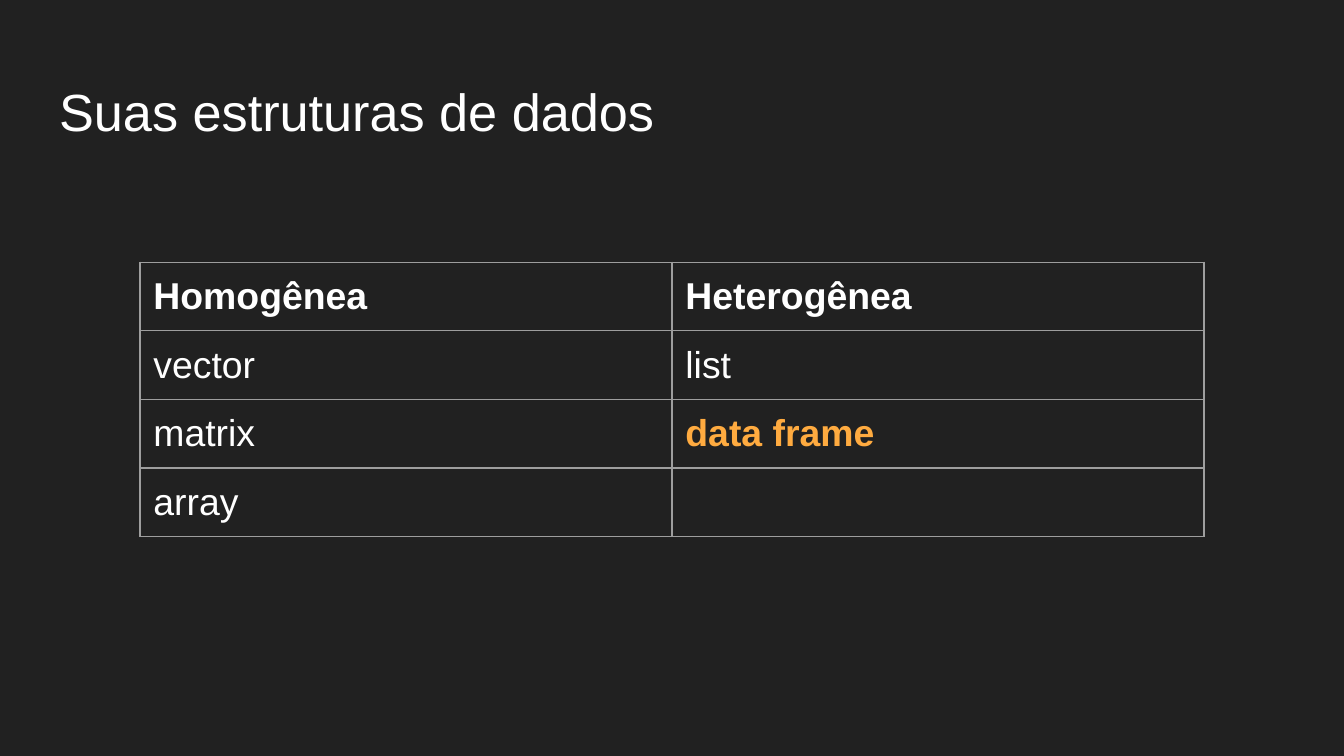
from typing import NamedTuple

from lxml.etree import SubElement
from pptx import Presentation
from pptx.dml.color import RGBColor
from pptx.enum.text import MSO_ANCHOR as Anchor, PP_ALIGN as Align
from pptx.oxml.ns import qn
from pptx.util import Pt

COLORS = {
    "background": "212121",
    "text": "FFFFFF",
    "highlight": "FFAB40",
    "border": "9E9E9E",
}
FONT = "Arial"
INSET = Pt(7.2)
COLUMN_WIDTH = Pt(285)
ROW_HEIGHT = Pt(36.7)


class Entry(NamedTuple):
    text: str
    color: str = "text"
    bold: bool = False


STRUCTURES = [
    [Entry("Homogênea", bold=True), Entry("Heterogênea", bold=True)],
    [Entry("vector"), Entry("list")],
    [Entry("matrix"), Entry("data frame", "highlight", True)],
    [Entry("array"), Entry("")],
]


def rgb(name: str) -> RGBColor:
    return RGBColor.from_string(COLORS[name])


def set_font(paragraph, size: float, color: str, bold: bool = False) -> None:
    font = paragraph.font
    font.name, font.size, font.bold = FONT, Pt(size), bold
    font.color.rgb = rgb(color)


def set_borders(cell, width: float = 0.75) -> None:
    properties = cell._tc.get_or_add_tcPr()
    for position, side in enumerate(("lnL", "lnR", "lnT", "lnB")):
        line = properties.makeelement(qn(f"a:{side}"), {"w": str(Pt(width))})
        fill = SubElement(line, qn("a:solidFill"))
        SubElement(fill, qn("a:srgbClr"), val=COLORS["border"])
        properties.insert(position, line)


def fill_cell(cell, entry: Entry) -> None:
    cell.fill.background()
    cell.margin_left = cell.margin_right = INSET
    cell.margin_top = cell.margin_bottom = INSET
    cell.text = entry.text
    set_font(cell.text_frame.paragraphs[0], 20, entry.color, entry.bold)
    set_borders(cell)


def add_title(slide, text: str) -> None:
    title = slide.shapes.title
    title.left, title.top = Pt(24.5), Pt(35.3)
    title.width, title.height = Pt(671), Pt(45.4)
    frame = title.text_frame
    frame.text = text
    frame.word_wrap = True
    frame.vertical_anchor = Anchor.TOP
    frame.margin_left = frame.margin_right = INSET
    frame.margin_top = frame.margin_bottom = INSET
    heading = frame.paragraphs[0]
    heading.alignment = Align.LEFT
    set_font(heading, 28, "text")


def add_structures_table(slide, rows: list[list[Entry]]) -> None:
    row_count, column_count = len(rows), len(rows[0])
    table = slide.shapes.add_table(
        row_count, column_count, Pt(75), Pt(140.5),
        COLUMN_WIDTH * column_count, ROW_HEIGHT * row_count,
    ).table
    table.first_row = table.horz_banding = False
    for row_index, row in enumerate(rows):
        for column_index, entry in enumerate(row):
            fill_cell(table.cell(row_index, column_index), entry)


def main() -> None:
    deck = Presentation()
    deck.slide_width, deck.slide_height = Pt(720), Pt(405)
    slide = deck.slides.add_slide(deck.slide_layouts[5])
    slide.background.fill.solid()
    slide.background.fill.fore_color.rgb = rgb("background")
    add_title(slide, "Suas estruturas de dados")
    add_structures_table(slide, STRUCTURES)
    deck.save("out.pptx")


if __name__ == "__main__":
    main()
